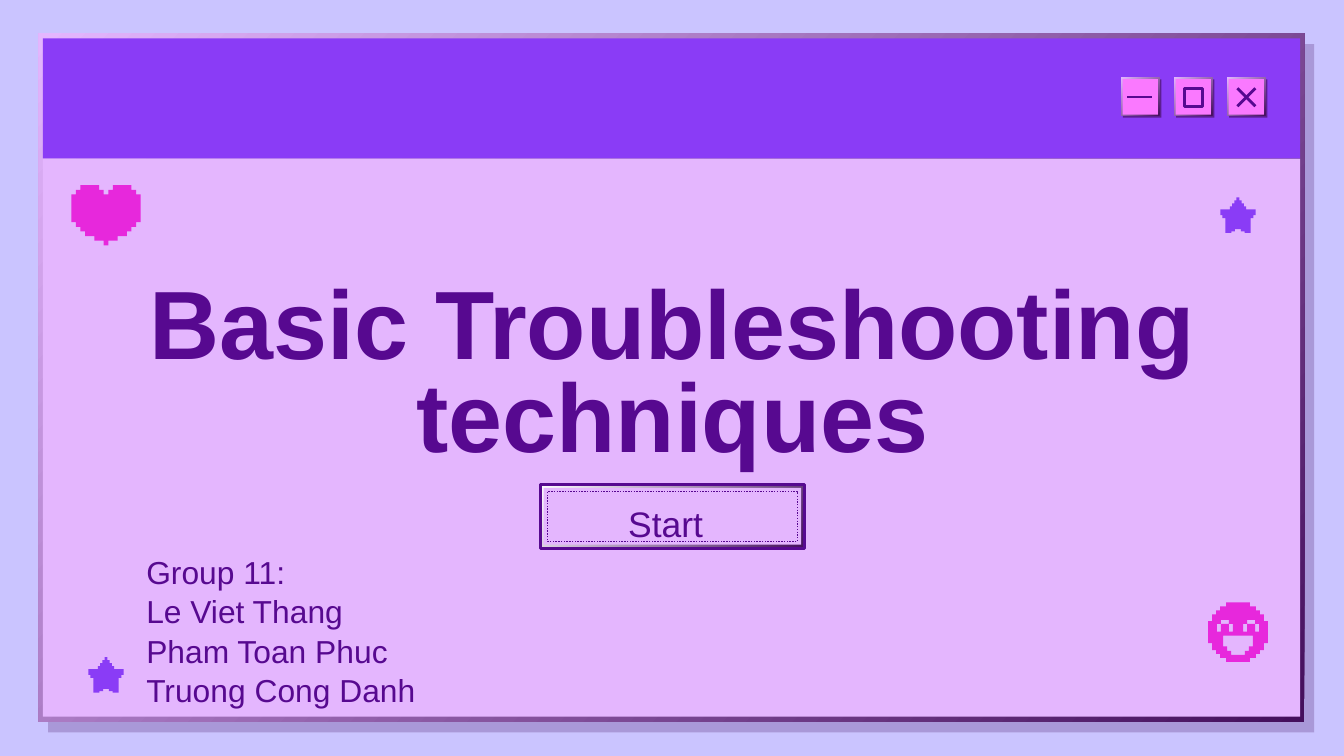
from lxml import etree
from pptx import Presentation
from pptx.dml.color import RGBColor
from pptx.enum import dml, shapes, text
from pptx.oxml import ns
from pptx.util import Pt

HUES = {"sky": "CAC4FF", "lilac": "E4B6FE", "violet": "8A3CF6", "ink": "570990",
        "dark": "440F5C", "pink": "FA79FF", "hot": "E728DC", "white": "FFFFFF"}
RGB = {name: RGBColor.from_string(code) for name, code in HUES.items()}

deck = Presentation()
deck.slide_width, deck.slide_height = Pt(720), Pt(405)
slide = deck.slides.add_slide(deck.slide_layouts[5])
slide.background.fill.solid()
slide.background.fill.fore_color.rgb = RGB["sky"]
tree = slide.shapes


def box(x, y, w, h, fill=None, alpha=100, light=None, line=0):
    """Rectangle; with light, a bevel from light (top left) to fill (bottom right)."""
    shape = tree.add_shape(shapes.MSO_SHAPE.RECTANGLE, Pt(x), Pt(y), Pt(w), Pt(h))
    shape.shadow.inherit = False
    if light:
        shape.fill.gradient()
        shape.fill.gradient_angle = 135
        for stop, hue in zip(shape.fill.gradient_stops, (fill, light)):
            stop.color.rgb = RGB[hue]
    elif fill:
        shape.fill.solid()
        shape.fill.fore_color.rgb = RGB[fill]
        if alpha < 100:
            tint = shape.fill._xPr.find(".//" + ns.qn("a:srgbClr"))
            etree.SubElement(tint, ns.qn("a:alpha")).set("val", str(alpha * 1000))
    else:
        shape.fill.background()
    if line:
        shape.line.color.rgb = RGB["ink"]
        shape.line.width = Pt(line)
    else:
        shape.line.fill.background()
    return shape


def pixel(mid, top, cell, hue, parts):
    """Stepped figure. Each part is (centre, start row, steps), mirrored about its
    centre; a step goes across to a half width, then down or up to a row."""
    build = None
    for centre, row, steps in parts:
        half = []
        for wide, end in steps:
            half += [(wide, row), (wide, end)]
            row = end
        ring = half + [(-wide, row) for wide, row in reversed(half)]
        spots = [(Pt(mid + (centre + a) * cell), Pt(top + b * cell)) for a, b in ring]
        if build:
            build.move_to(*spots[0])
        else:
            build = tree.build_freeform(*spots[0])
        build.add_line_segments(spots[1:], close=True)
    shape = build.convert_to_shape()
    shape.shadow.inherit = False
    shape.fill.solid()
    shape.fill.fore_color.rgb = RGB[hue]
    shape.line.fill.background()


# Window frame
box(25.8, 23.6, 678.2, 368.8, "dark", alpha=24)
box(20.6, 18, 678.2, 368.8, "dark", light="lilac")
box(23, 85, 673.6, 299, "lilac")
box(23, 20.6, 673.6, 64.2, "violet")

# Window buttons
left, step = 600.6, 28.4
for i in range(3):
    x = left + i * step
    box(x + 1, 42.5, 20.6, 20.6, "dark", alpha=65)
    box(x, 41.5, 20.6, 20.6, "dark", light="lilac")
    box(x + 0.8, 42.4, 19, 19, "pink")
box(left + step + 34 - step, 47.3, 9.6, 9.6, line=1.5)
cross = left + 2 * step + 5.5
for x1, y1, x2, y2 in [(604, 52, 617, 52),
                       (cross, 47.3, cross + 9.6, 56.9),
                       (cross, 56.9, cross + 9.6, 47.3)]:
    bar = tree.add_connector(shapes.MSO_CONNECTOR.STRAIGHT, Pt(x1), Pt(y1), Pt(x2), Pt(y2))
    bar.line.color.rgb = RGB["ink"]
    bar.line.width = Pt(1.5)
    etree.SubElement(bar._element.spPr, ns.qn("a:effectLst"))

# Start button
box(289.4, 259.4, 141.6, 34.6, "dark", light="white", line=1.5)
box(291.2, 261.4, 138, 30.4, "lilac")
dots = box(293.2, 263.4, 134, 26.8, line=0.75)
dots.line.dash_style = dml.MSO_LINE.ROUND_DOT

# Texts
title = tree.title
tree._spTree.append(title._element)
title.left, title.top, title.width, title.height = Pt(59), Pt(143.3), Pt(602.6), Pt(118.8)
team = tree.add_textbox(Pt(71.3), Pt(288), Pt(185), Pt(93.6))
start = tree.add_textbox(Pt(293.2), Pt(254.8), Pt(134), Pt(34.6))
title.text_frame.text = "Basic Troubleshooting techniques"
team.text_frame.text = "Group 11:\nLe Viet Thang\nPham Toan Phuc\nTruong Cong Danh"
start.text_frame.text = "Start"
start.text_frame.paragraphs[0].add_run().text = " "

MID, TOP = text.MSO_ANCHOR.MIDDLE, text.MSO_ANCHOR.TOP
CENTRE, LEFT = text.PP_ALIGN.CENTER, text.PP_ALIGN.LEFT
for shape, size, align, anchor, gap in [(title, 52, CENTRE, MID, 0.8),
                                        (team, 17, LEFT, TOP, 1.04),
                                        (start, 19, CENTRE, TOP, 1.0)]:
    frame = shape.text_frame
    frame.word_wrap = True
    frame.auto_size = text.MSO_AUTO_SIZE.NONE
    frame.vertical_anchor = anchor
    frame.margin_left = frame.margin_right = Pt(7.2)
    frame.margin_top = frame.margin_bottom = Pt(7.2)
    for para in frame.paragraphs:
        para.alignment = align
        para.line_spacing = gap
        for run in para.runs:
            run.font.name = "Arial"
            run.font.size = Pt(size)
            run.font.bold = shape is title
            run.font.color.rgb = RGB["ink"]
start.text_frame.paragraphs[0].runs[1].font.size = Pt(26)

# Pixel figures
heart = [(0, 2, [(0.5, 1), (1.5, 0), (5.5, 1), (6.5, 2), (7.5, 8), (6.5, 9),
                 (5.5, 10), (4.5, 11), (2.5, 12), (0.5, 13)])]
star = [(0, 0, [(0.5, 1), (1.25, 2), (2, 3), (2.75, 4), (6, 6), (5.25, 7),
                (4.25, 12), (2.25, 11.5), (1, 10.75)])]
eye = [(1, 5.4), (2, 7.4), (1, 5.4)]
face = [(0, 0, [(3, 1), (4.5, 2), (5.5, 3), (6.5, 4.75), (7.5, 10.25), (6.5, 12),
                (5.5, 13), (4.5, 14), (3, 15)]),
        (-3.3, 4.4, eye), (3.3, 4.4, eye),
        (0, 8.4, [(3.75, 11.1), (2.75, 12.2), (1.75, 13.2)])]
pixel(56.8, 99.2, 2.48, "hot", heart)
pixel(663.2, 322.7, 2.13, "hot", face)
pixel(56.8, 352.1, 1.58, "violet", star)
pixel(663.2, 105.8, 1.58, "violet", star)

deck.save("out.pptx")
